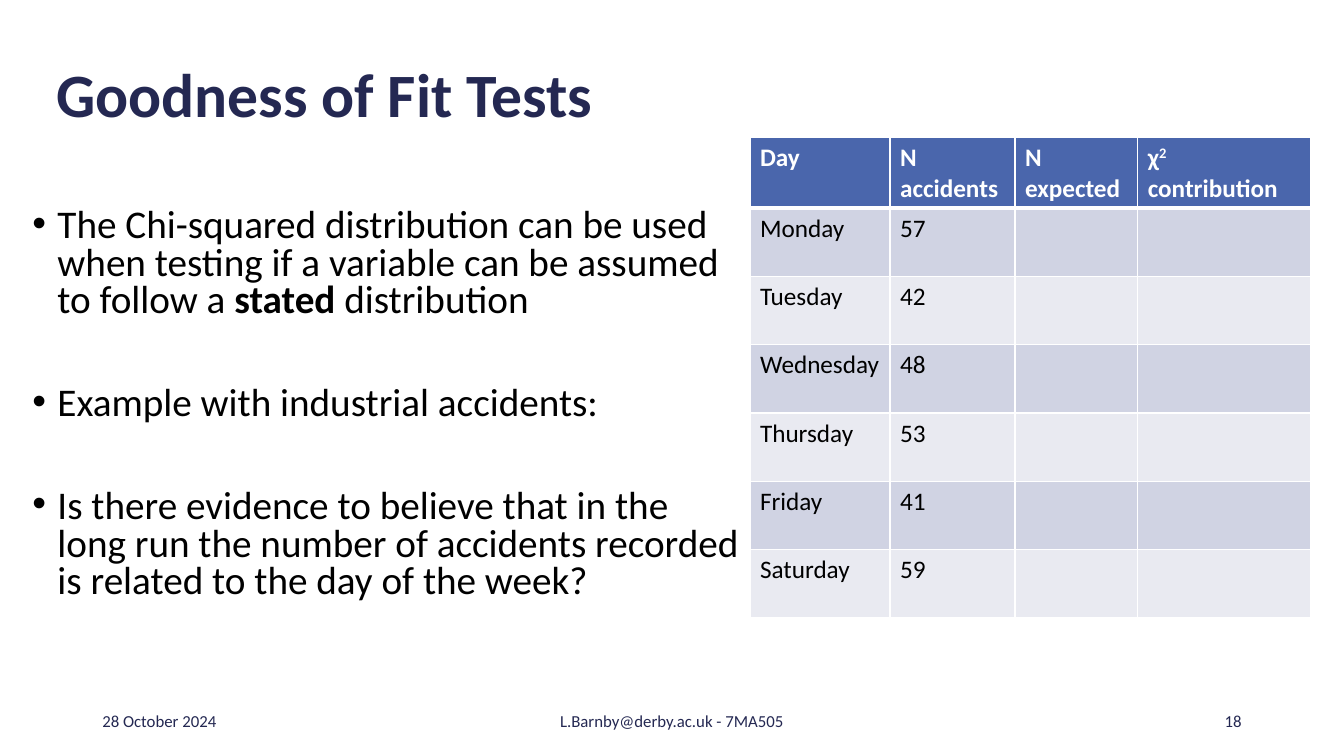
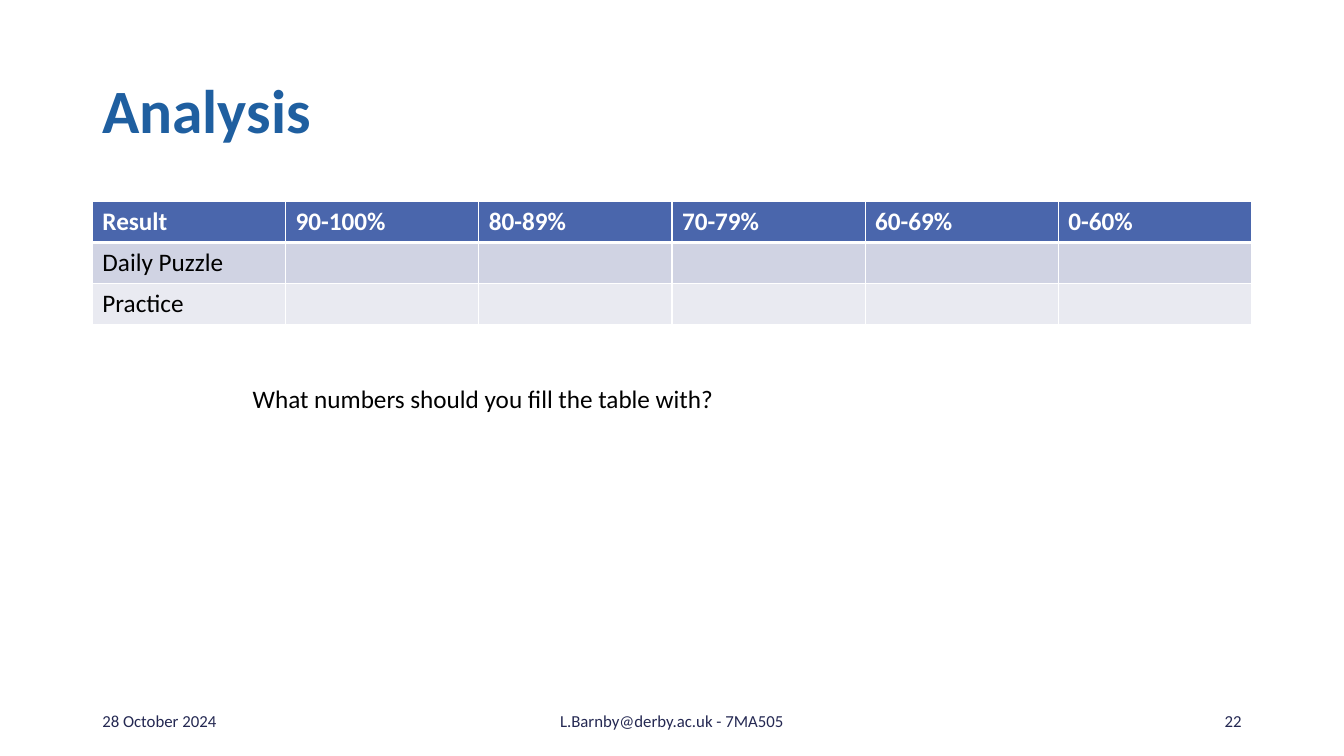
import pptx
import pptx.util
import pptx.dml.color
import pptx.enum.text
import pptx.oxml
import pptx.oxml.ns

Pt = pptx.util.Pt
RGBColor = pptx.dml.color.RGBColor
ALIGN = pptx.enum.text.PP_ALIGN
ANCHOR = pptx.enum.text.MSO_ANCHOR

# Shared style
NAVY = RGBColor(0x24, 0x28, 0x52)
BLUE = RGBColor(0x1F, 0x5F, 0xA0)
BLACK = RGBColor(0, 0, 0)
WHITE = RGBColor(0xFF, 0xFF, 0xFF)
HEADER_FILL = RGBColor(0x4A, 0x66, 0xAC)
BAND_FILLS = (RGBColor(0xD0, 0xD3, 0xE3), RGBColor(0xE9, 0xEA, 0xF1))
FONT = "Calibri"
FOOTER_TOP, FOOTER_HEIGHT = 500.4, 28.8
TITLE_WIDTH, TITLE_HEIGHT = 828, 104.4

# Content: a paragraph is a list of (text, format) runs
DATE = "28 October 2024"
COURSE = "L.Barnby@derby.ac.uk - 7MA505"

BULLETS = [
    [("The Chi-squared distribution can be used when testing if a variable "
      "can be assumed to follow a ", {}),
     ("stated", {"bold": True}),
     (" distribution", {})],
    [("Example with industrial accidents:", {})],
    [("Is there evidence to believe that in the long run the number of "
      "accidents recorded is related to the day of the week?", {})],
]

CHI_SQUARED = [("χ", {}), ("2", {"baseline": 30000}), (" contribution", {})]
ACCIDENTS = [
    ["Day", "N accidents", "N expected", CHI_SQUARED],
    ["Monday", "57", "", ""],
    ["Tuesday", "42", "", ""],
    ["Wednesday", "48", "", ""],
    ["Thursday", "53", "", ""],
    ["Friday", "41", "", ""],
    ["Saturday", "59", "", ""],
]

RESULTS = [
    ["Result", "90-100%", "80-89%", "70-79%", "60-69%", "0-60%"],
    ["Daily Puzzle"] + [""] * 5,
    ["Practice"] + [""] * 5,
]
QUESTION = "What numbers should you fill the table with?"


def write_runs(paragraph, content, size, color, bold=False):
    runs = [(content, {})] if isinstance(content, str) else content
    for text, changes in runs:
        if not text:
            continue
        run = paragraph.add_run()
        run.text = text
        run.font.color.rgb = color
        formats = {"name": FONT, "size": Pt(size), "bold": bold, **changes}
        baseline = formats.pop("baseline", None)
        for key, value in formats.items():
            setattr(run.font, key, value)
        if baseline:
            run.font._element.set("baseline", str(baseline))


def add_text(slide, box, paragraphs, size, color, bold=False, bullet=False,
             frame_format=None, paragraph_format=None, gap=0):
    frame = slide.shapes.add_textbox(*map(Pt, box)).text_frame
    for key, value in {"word_wrap": True, **(frame_format or {})}.items():
        setattr(frame, key, value)
    for index, content in enumerate(paragraphs):
        paragraph = frame.add_paragraph() if index else frame.paragraphs[0]
        for key, value in (paragraph_format or {}).items():
            setattr(paragraph, key, value)
        if index and gap:
            paragraph.space_before = Pt(gap)
        if bullet:
            properties = paragraph._p.get_or_add_pPr()
            properties.set("marL", str(Pt(18)))
            properties.set("indent", str(-Pt(18)))
            for tag, attribute, value in (("buFont", "typeface", "Arial"),
                                          ("buChar", "char", "•")):
                mark = pptx.oxml.ns.qn("a:" + tag)
                properties.append(properties.makeelement(mark, {attribute: value}))
        write_runs(paragraph, content, size, color, bold)


def set_borders(cell, widths):
    properties = cell._tc.get_or_add_tcPr()
    for index, (side, width) in enumerate(widths.items()):
        line = pptx.oxml.parse_xml(
            f'<a:ln{side} {pptx.oxml.ns.nsdecls("a")} w="{Pt(width)}">'
            f'<a:solidFill><a:srgbClr val="{WHITE}"/></a:solidFill></a:ln{side}>')
        properties.insert(index, line)


def add_table(slide, left, top, column_widths, row_height, rows):
    frame = slide.shapes.add_table(
        len(rows), len(column_widths), Pt(left), Pt(top),
        Pt(sum(column_widths)), Pt(row_height * len(rows)))
    table = frame.table
    for column, width in zip(table.columns, column_widths):
        column.width = Pt(width)
    for r, row in enumerate(rows):
        table.rows[r].height = Pt(row_height)
        header = r == 0
        for c, content in enumerate(row):
            cell = table.cell(r, c)
            cell.fill.solid()
            cell.fill.fore_color.rgb = HEADER_FILL if header else BAND_FILLS[(r - 1) % 2]
            # The rule below the header is heavier
            set_borders(cell, {"L": 1, "R": 1, "T": 3 if r == 1 else 1,
                               "B": 3 if header else 1})
            write_runs(cell.text_frame.paragraphs[0], content, 18,
                       WHITE if header else BLACK, bold=header)


def add_page(deck, title, title_at, title_color, number):
    slide = deck.slides.add_slide(deck.slide_layouts[6])
    middle = {"vertical_anchor": ANCHOR.MIDDLE}
    add_text(slide, (*title_at, TITLE_WIDTH, TITLE_HEIGHT), [title], 44,
             title_color, bold=True, frame_format=middle,
             paragraph_format={"line_spacing": 0.9})
    for left, width, text, alignment in (
            (66, 216, DATE, ALIGN.LEFT),
            (318, 324, COURSE, ALIGN.CENTER),
            (678, 216, number, ALIGN.RIGHT)):
        add_text(slide, (left, FOOTER_TOP, width, FOOTER_HEIGHT), [text], 12, NAVY,
                 frame_format=middle, paragraph_format={"alignment": alignment})
    return slide


def main():
    deck = pptx.Presentation()
    deck.slide_width, deck.slide_height = Pt(960), Pt(540)

    # Goodness of fit
    fit = add_page(deck, "Goodness of Fit Tests", (33, 17.3), NAVY, "18")
    add_text(fit, (16, 145.4, 520, 355), BULLETS, 28, BLACK, bullet=True,
             paragraph_format={"line_spacing": 0.8}, gap=46.5)
    add_table(fit, 535.7, 98.2, (100.1, 89.2, 87.7, 123.6), 48.8, ACCIDENTS)

    # Analysis
    analysis = add_page(deck, "Analysis", (66, 28.8), BLUE, "22")
    add_table(analysis, 66, 144, [138] * 6, 29.2, RESULTS)
    add_text(analysis, (173.4, 270.3, 347.6, 29), [QUESTION], 18, BLACK,
             frame_format={"word_wrap": False,
                           "auto_size": pptx.enum.text.MSO_AUTO_SIZE.SHAPE_TO_FIT_TEXT})

    deck.save("out.pptx")


if __name__ == "__main__":
    main()
